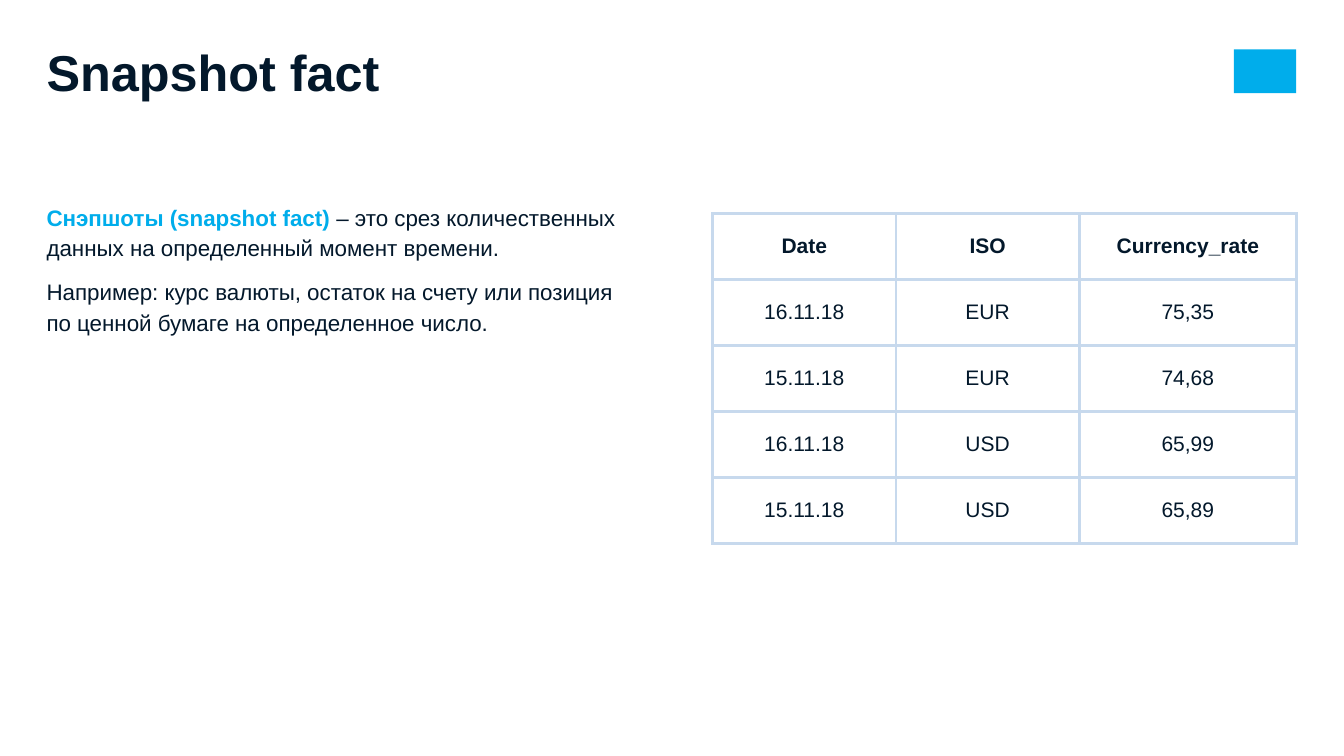
from dataclasses import dataclass

from lxml.etree import SubElement
from pptx import Presentation
from pptx.dml.color import RGBColor
from pptx.enum.shapes import MSO_SHAPE
from pptx.enum.text import MSO_ANCHOR, MSO_AUTO_SIZE, PP_ALIGN
from pptx.oxml.ns import qn
from pptx.shapes.autoshape import Shape
from pptx.slide import Slide
from pptx.table import _Cell
from pptx.text.text import Font, _Paragraph
from pptx.util import Pt

INK = "03182B"
ACCENT = "00ADEB"
GRID = "C7D9ED"
WHITE = "FFFFFF"


@dataclass(frozen=True)
class Frame:
    left: float
    top: float
    width: float
    height: float


@dataclass(frozen=True)
class Span:
    text: str
    color: str = INK
    bold: bool = False


@dataclass(frozen=True)
class BodyParagraph:
    spans: tuple[Span, ...]
    space_before: float


TITLE_FRAME = Frame(23.8, 17.3, 655.2, 73.4)
BODY_FRAME = Frame(23.8, 133.2, 471.6, 145.4)
MARK_FRAME = Frame(881.3, 35.3, 44.6, 31.3)
TABLE_FRAME = Frame(509, 152.6, 417, 235.5)
COLUMN_WIDTHS = (131, 131, 155)

BODY = (
    BodyParagraph(
        (
            Span("Снэпшоты (snapshot fact) ", ACCENT, True),
            Span("– это срез количественных данных на определенный момент времени."),
        ),
        0,
    ),
    BodyParagraph(
        (
            Span(
                "Например: курс валюты, остаток на счету или позиция \v"
                "по ценной бумаге на определенное число."
            ),
        ),
        9,
    ),
)

RATES = (
    ("Date", "ISO", "Currency_rate"),
    ("16.11.18", "EUR", "75,35"),
    ("15.11.18", "EUR", "74,68"),
    ("16.11.18", "USD", "65,99"),
    ("15.11.18", "USD", "65,89"),
)


def rgb(color: str) -> RGBColor:
    return RGBColor.from_string(color)


def format_font(font: Font, size: float, color: str = INK, bold: bool = False) -> None:
    font.name = "Arial"
    font.size = Pt(size)
    font.bold = bold
    font.color.rgb = rgb(color)


def place_placeholder(box: Shape, frame: Frame, anchor: MSO_ANCHOR) -> None:
    box.left, box.top = Pt(frame.left), Pt(frame.top)
    box.width, box.height = Pt(frame.width), Pt(frame.height)
    text_frame = box.text_frame
    text_frame.word_wrap = True
    text_frame.auto_size = MSO_AUTO_SIZE.NONE
    text_frame.vertical_anchor = anchor
    text_frame.margin_left = text_frame.margin_right = Pt(9.4)
    text_frame.margin_top = text_frame.margin_bottom = Pt(9.4)


def remove_bullet(para: _Paragraph) -> None:
    properties = para._p.get_or_add_pPr()
    properties.set("marL", "0")
    properties.set("indent", "0")
    SubElement(properties, qn("a:buNone"))


def draw_title(page: Slide) -> None:
    box = page.shapes.title
    place_placeholder(box, TITLE_FRAME, MSO_ANCHOR.MIDDLE)
    box.text_frame.text = "Snapshot fact"
    para = box.text_frame.paragraphs[0]
    para.alignment = PP_ALIGN.LEFT
    para.line_spacing = 0.9
    format_font(para.runs[0].font, 36, bold=True)


def draw_body(page: Slide) -> None:
    box = page.placeholders[1]
    place_placeholder(box, BODY_FRAME, MSO_ANCHOR.TOP)
    text_frame = box.text_frame
    text_frame.text = "\n".join(
        "".join(span.text for span in item.spans[:1]) for item in BODY
    )
    for para, item in zip(text_frame.paragraphs, BODY):
        remove_bullet(para)
        para.line_spacing = 1.15
        para.space_before = Pt(item.space_before)
        for run in para.runs:
            format_font(run.font, 16, item.spans[0].color, item.spans[0].bold)
        for span in item.spans[1:]:
            run = para.add_run()
            run.text = span.text
            format_font(run.font, 16, span.color, span.bold)


def draw_mark(page: Slide) -> None:
    frame = MARK_FRAME
    mark = page.shapes.add_shape(
        MSO_SHAPE.RECTANGLE,
        Pt(frame.left), Pt(frame.top), Pt(frame.width), Pt(frame.height),
    )
    mark.shadow.inherit = False
    mark.fill.solid()
    mark.fill.fore_color.rgb = rgb(ACCENT)
    mark.line.fill.background()


def draw_borders(cell: _Cell) -> None:
    properties = cell._tc.get_or_add_tcPr()
    for side in ("a:lnL", "a:lnR", "a:lnT", "a:lnB"):
        line = SubElement(properties, qn(side), w=str(Pt(2.25)))
        fill = SubElement(line, qn("a:solidFill"))
        SubElement(fill, qn("a:srgbClr"), val=GRID)


def draw_table(page: Slide) -> None:
    frame = TABLE_FRAME
    table = page.shapes.add_table(
        len(RATES), len(COLUMN_WIDTHS),
        Pt(frame.left), Pt(frame.top), Pt(frame.width), Pt(frame.height),
    ).table
    table.horz_banding = False
    for column, width in zip(table.columns, COLUMN_WIDTHS):
        column.width = Pt(width)
    for row_index, values in enumerate(RATES):
        for column_index, value in enumerate(values):
            cell = table.cell(row_index, column_index)
            draw_borders(cell)
            cell.fill.solid()
            cell.fill.fore_color.rgb = rgb(WHITE)
            cell.vertical_anchor = MSO_ANCHOR.MIDDLE
            cell.text_frame.text = value
            para = cell.text_frame.paragraphs[0]
            para.alignment = PP_ALIGN.CENTER
            format_font(para.runs[0].font, 15, bold=row_index == 0)


def main() -> None:
    deck = Presentation()
    deck.slide_width, deck.slide_height = Pt(960), Pt(540)
    page = deck.slides.add_slide(deck.slide_layouts[1])
    draw_mark(page)
    draw_body(page)
    draw_title(page)
    draw_table(page)
    deck.save("out.pptx")


if __name__ == "__main__":
    main()
